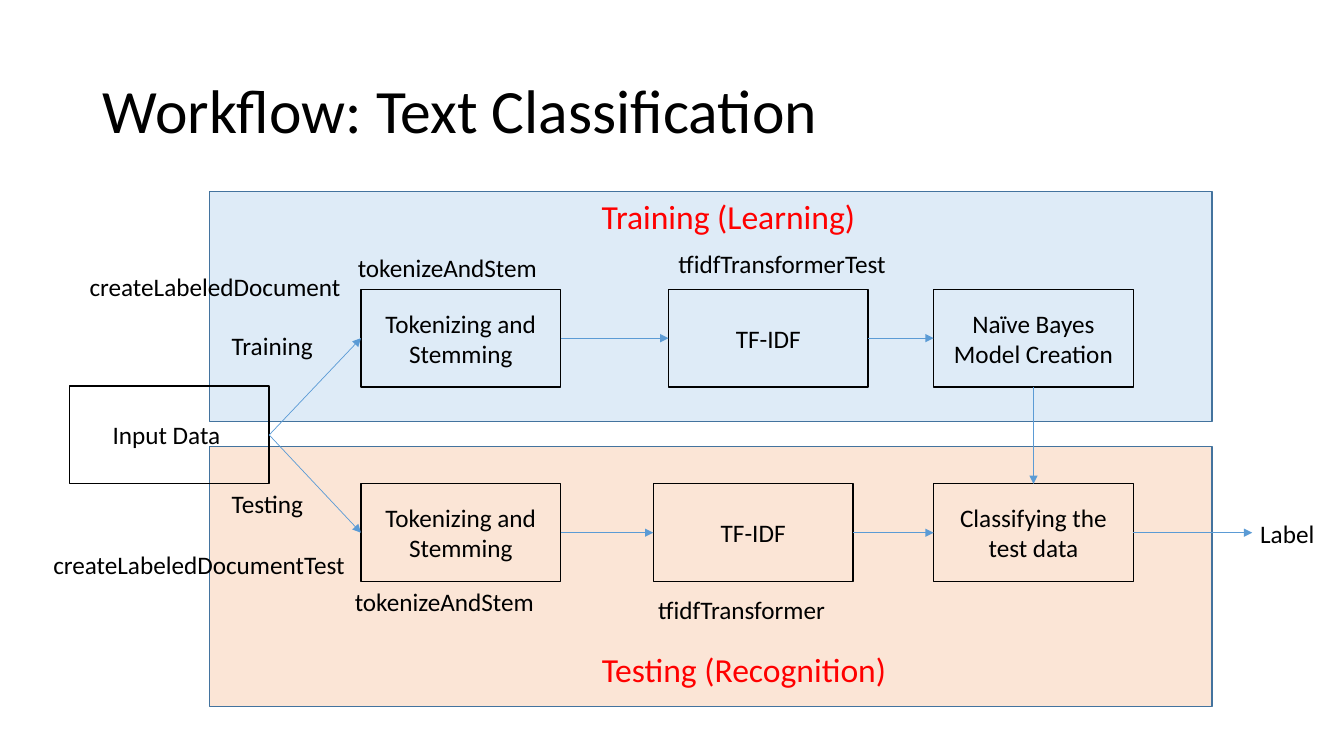
from lxml import etree
from pptx import Presentation
from pptx.dml.color import RGBColor
from pptx.enum.shapes import MSO_CONNECTOR, MSO_SHAPE
from pptx.enum.text import MSO_ANCHOR as Anchor, PP_ALIGN as Align
from pptx.oxml.ns import qn
from pptx.util import Inches, Pt

BLACK = RGBColor(0x00, 0x00, 0x00)
RED = RGBColor(0xFF, 0x00, 0x00)
ARROW_BLUE = RGBColor(0x5B, 0x9B, 0xD5)
PANEL_EDGE = RGBColor(0x43, 0x73, 0x9E)
TRAINING_FILL = RGBColor(0xDE, 0xEB, 0xF7)
TESTING_FILL = RGBColor(0xFB, 0xE5, 0xD6)

BOX_WIDTH, BOX_HEIGHT = 1.98, 0.97
TOP, LEFT, BOTTOM, RIGHT = range(4)  # connection sites of a rectangle


def write(shape, text, size=18, color=BLACK, align=Align.LEFT,
          anchor=Anchor.TOP, wrap=True, spacing=None):
    """Put one formatted paragraph into a shape."""
    frame = shape.text_frame
    frame.word_wrap = wrap
    frame.vertical_anchor = anchor
    para = frame.paragraphs[0]
    para.alignment = align
    para.line_spacing = spacing
    span = para.add_run()
    span.text = text
    span.font.name = "Calibri"
    span.font.size = Pt(size)
    span.font.color.rgb = color


def add_box(left, top, width, height, edge, fill=None):
    """Draw an outlined rectangle, filled only when a colour is given."""
    box = page.shapes.add_shape(MSO_SHAPE.RECTANGLE, Inches(left), Inches(top),
                                Inches(width), Inches(height))
    box.shadow.inherit = False
    box.line.color.rgb = edge
    box.line.width = Pt(1)
    if fill is None:
        box.fill.background()
    else:
        box.fill.solid()
        box.fill.fore_color.rgb = fill
    return box


deck = Presentation()
deck.slide_width, deck.slide_height = Inches(13.33), Inches(7.5)
page = deck.slides.add_slide(deck.slide_layouts[5])

title = page.shapes.title
title.left, title.top = Inches(0.92), Inches(0.4)
title.width, title.height = Inches(11.5), Inches(1.45)
write(title, "Workflow: Text Classification", size=44,
      anchor=Anchor.MIDDLE, spacing=0.9)

# Phase panels
for top, height, fill in [(4.43, 2.58, TESTING_FILL), (1.9, 2.28, TRAINING_FILL)]:
    add_box(2.08, top, 9.94, height, PANEL_EDGE, fill)

# Workflow steps
training_top, testing_top = 2.87, 4.8
steps = {}
for name, left, top, text in [
    ("input", 0.69, 3.83, "Input Data "),
    ("train tokens", 3.58, training_top, "Tokenizing and Stemming"),
    ("train tfidf", 6.63, training_top, "TF-IDF"),
    ("model", 9.26, training_top, "Naïve Bayes Model Creation"),
    ("test tokens", 3.58, testing_top, "Tokenizing and Stemming"),
    ("test tfidf", 6.48, testing_top, "TF-IDF"),
    ("classify", 9.26, testing_top, "Classifying the test data"),
]:
    steps[name] = add_box(left, top, BOX_WIDTH, BOX_HEIGHT, BLACK)
    write(steps[name], text, align=Align.CENTER, anchor=Anchor.MIDDLE)

# Arrows between steps; the last one leads out to the label
for start, start_site, end, end_site in [
    ("input", RIGHT, "train tokens", LEFT),
    ("input", RIGHT, "test tokens", LEFT),
    ("train tokens", RIGHT, "train tfidf", LEFT),
    ("test tokens", RIGHT, "test tfidf", LEFT),
    ("train tfidf", RIGHT, "model", LEFT),
    ("test tfidf", RIGHT, "classify", LEFT),
    ("model", BOTTOM, "classify", TOP),
    ("classify", RIGHT, None, None),
]:
    label_y = Inches(testing_top + BOX_HEIGHT / 2)
    arrow = page.shapes.add_connector(MSO_CONNECTOR.STRAIGHT, Inches(11.24),
                                      label_y, Inches(12.42), label_y)
    arrow.begin_connect(steps[start], start_site)
    if end:
        arrow.end_connect(steps[end], end_site)
    arrow.line.color.rgb = ARROW_BLUE
    arrow.line.width = Pt(0.5)
    outline = arrow.line._get_or_add_ln()
    etree.SubElement(outline, qn("a:tailEnd"), type="triangle")
    etree.SubElement(arrow._element.spPr, qn("a:effectLst"))

# Function names and branch labels
for left, top, width, text in [
    (2.2, 3.23, 1.11, "Training"),
    (2.2, 4.8, 1.11, "Testing"),
    (0.79, 2.64, 2.83, "createLabeledDocument"),
    (0.43, 5.4, 3.15, "createLabeledDocumentTest"),
    (6.63, 2.41, 2.37, "tfidfTransformerTest"),
    (6.43, 5.85, 2.37, "tfidfTransformer"),
    (3.45, 2.45, 2.31, "tokenizeAndStem"),
    (3.42, 5.77, 2.31, "tokenizeAndStem"),
    (12.4, 5.09, 0.75, "Label"),
]:
    label = page.shapes.add_textbox(Inches(left), Inches(top),
                                    Inches(width), Inches(0.4))
    write(label, text, wrap=text != "Label")

# Phase headings
for top, width, text in [(1.89, 2.74, "Training (Learning)"),
                         (6.39, 3.05, "Testing (Recognition)")]:
    heading = page.shapes.add_textbox(Inches(5.87), Inches(top),
                                      Inches(width), Inches(0.5))
    write(heading, text, size=24, color=RED, wrap=False)

deck.save("out.pptx")
